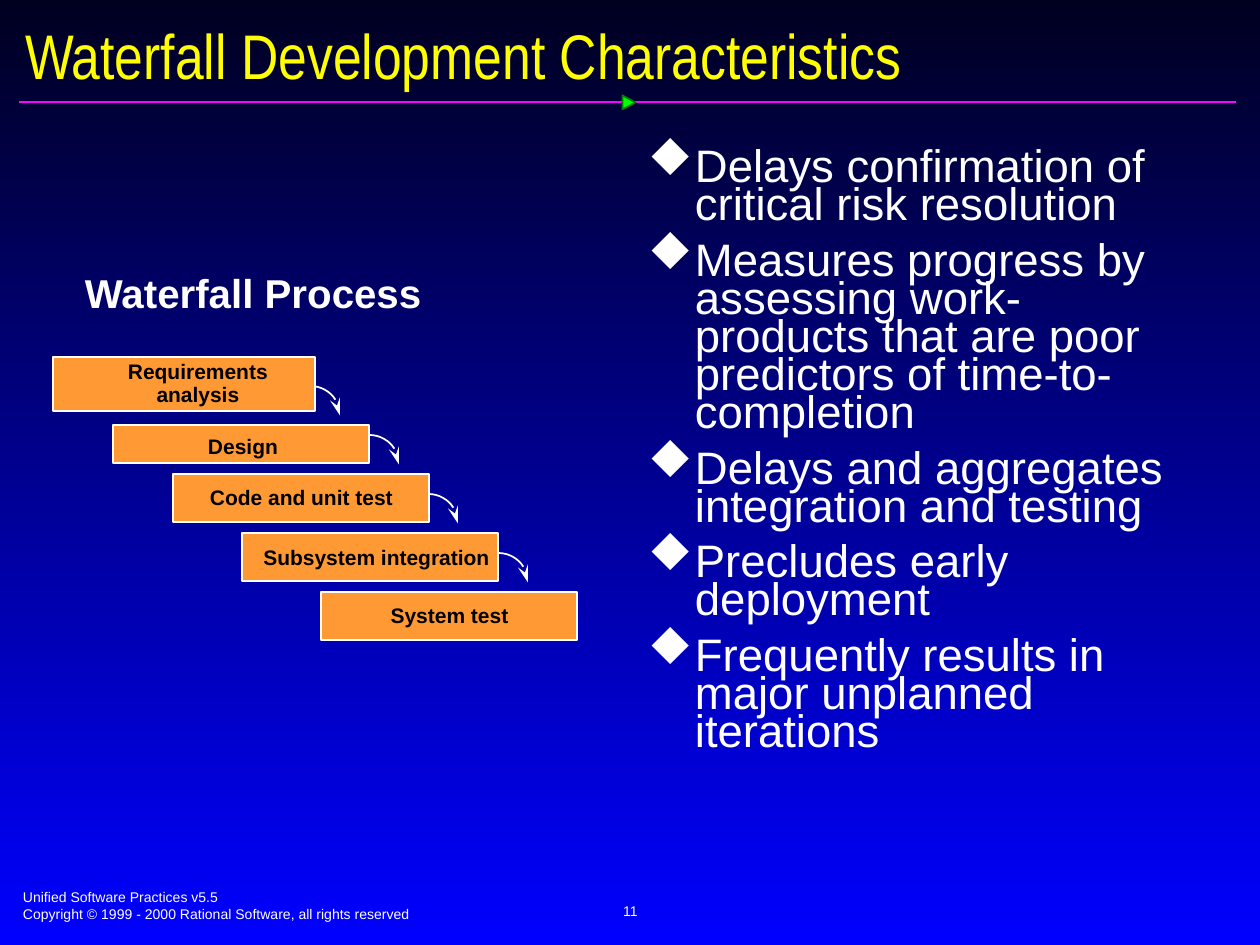
from lxml import etree
from pptx import Presentation
from pptx.dml.color import RGBColor
from pptx.enum.shapes import MSO_CONNECTOR, MSO_SHAPE as Shape
from pptx.enum.text import MSO_ANCHOR as Anchor, MSO_AUTO_SIZE as AutoSize, PP_ALIGN as Align
from pptx.oxml.ns import qn
from pptx.util import Pt

PX = 914400 / 126
WHITE = "FFFFFF"
DIAMOND = "u"  # filled diamond in Wingdings

# Text lines, box (left, top, width, height), left and top inset that shift the label
STEPS = [
    (["Requirements", "analysis"], (53, 357, 262, 54), (32, 4)),
    (["Design"], (113, 425, 256, 38), (8, 11)),
    (["Code and unit test"], (173, 474, 256, 48), (5, 5)),
    (["Subsystem integration"], (242, 533, 256, 48), (17, 7)),
    (["System test"], (321, 592, 256, 48), (5, 5)),
]
ARROWS = [(281, 386), (340, 435), (399, 494), (469, 553)]
ARROW_SIZE = 59

CHARACTERISTICS = [
    "Delays confirmation of critical risk resolution",
    "Measures progress by assessing work-products that are poor predictors of time-to-completion",
    "Delays and aggregates integration and testing",
    "Precludes early deployment",
    "Frequently results in major unplanned iterations",
]
FOOTER = [
    "Unified Software Practices v5.5",
    "Copyright © 1999 - 2000 Rational Software, all rights reserved",
]


def px(*lengths):
    return [round(length * PX) for length in lengths]


def color(hex_value):
    return RGBColor.from_string(hex_value)


def add_bullet(paragraph, char, hex_value, indent):
    properties = paragraph._p.get_or_add_pPr()
    hang = px(indent)[0]
    properties.set("marL", str(hang))
    properties.set("indent", str(-hang))
    bullet_color = etree.SubElement(properties, qn("a:buClr"))
    etree.SubElement(bullet_color, qn("a:srgbClr"), val=hex_value)
    etree.SubElement(properties, qn("a:buFont"), typeface="Wingdings",
                     pitchFamily="2", charset="2")
    etree.SubElement(properties, qn("a:buChar"), char=char)


def write_text(shape, lines, size=12, font="Arial", fill=WHITE, bold=False, align=Align.LEFT,
               anchor=Anchor.TOP, insets=(13, 6, 13, 6), wrap=True, spacing=None,
               before=0, bullet=None):
    frame = shape.text_frame
    frame.auto_size = AutoSize.NONE
    frame.word_wrap = wrap
    frame.vertical_anchor = anchor
    (frame.margin_left, frame.margin_top,
     frame.margin_right, frame.margin_bottom) = px(*insets)
    for index, line in enumerate(lines):
        paragraph = frame.add_paragraph() if index else frame.paragraphs[0]
        paragraph.text = line
        paragraph.alignment = align
        if spacing:
            paragraph.line_spacing = spacing
        paragraph.space_before = Pt(before if index else 0)
        if bullet:
            add_bullet(paragraph, bullet, fill, 47)
        text_font = paragraph.font
        text_font.name, text_font.size, text_font.bold = font, Pt(size), bold
        text_font.color.rgb = color(fill)


def add_text(slide, box, lines, **text_format):
    write_text(slide.shapes.add_textbox(*px(*box)), lines, **text_format)


def add_shape(slide, kind, box, fill=None, line=WHITE):
    shape = slide.shapes.add_shape(kind, *px(*box))
    shape.shadow.inherit = False
    if fill:
        shape.fill.solid()
        shape.fill.fore_color.rgb = color(fill)
    else:
        shape.fill.background()
    shape.line.color.rgb = color(line)
    shape.line.width = Pt(1)
    return shape


def add_curved_arrow(slide, left, top):
    arc = add_shape(slide, Shape.ARC, (left, top, ARROW_SIZE, ARROW_SIZE))
    etree.SubElement(arc.line._get_or_add_ln(), qn("a:tailEnd"), type="stealth", len="lg")


def add_step(slide, lines, box, shift):
    step = add_shape(slide, Shape.RECTANGLE, box, fill="FF9933")
    write_text(step, lines, fill="000000", bold=True, align=Align.CENTER, anchor=Anchor.MIDDLE,
               insets=(*shift, 4, 4), spacing=0.9)


def add_title_rule(slide):
    rule = slide.shapes.add_connector(MSO_CONNECTOR.STRAIGHT, *px(19, 102, 1236, 102))
    rule.line.color.rgb = color("FF01FF")
    rule.line.width = Pt(1)
    etree.SubElement(rule._element.spPr, qn("a:effectLst"))
    marker = add_shape(slide, Shape.ISOSCELES_TRIANGLE, (622, 96, 14, 13), "00FF00", "037C03")
    marker.rotation = 90


def set_background(slide, top, bottom):
    fill = slide.background.fill
    fill.gradient()
    fill.gradient_angle = 270
    for stop, hex_value in zip(fill.gradient_stops, (top, bottom)):
        stop.color.rgb = color(hex_value)


def main():
    deck = Presentation()
    deck.slide_width, deck.slide_height = px(1260, 945)
    slide = deck.slides.add_slide(deck.slide_layouts[5])
    set_background(slide, "000021", "0000FF")

    # Title and rule
    title = slide.shapes.title
    title.left, title.top, title.width, title.height = px(12, 18, 1240, 73)
    write_text(title, ["Waterfall Development Characteristics"], size=36, font="Arial Narrow",
               fill="FFFF00", anchor=Anchor.MIDDLE)
    add_title_rule(slide)

    # Waterfall diagram
    add_text(slide, (74, 268, 363, 55), ["Waterfall Process"], size=23, bold=True,
             insets=(11, 6, 11, 6), wrap=False, spacing=0.9)
    for left, top in ARROWS:
        add_curved_arrow(slide, left, top)
    for lines, box, shift in STEPS:
        add_step(slide, lines, box, shift)

    # Characteristics
    add_text(slide, (633, 144, 575, 696), CHARACTERISTICS, size=26, insets=(15, 8, 15, 8),
             spacing=0.7, before=9.8, bullet=DIAMOND)

    # Footer and page number
    add_text(slide, (10, 883, 643, 47), FOOTER, size=8)
    add_text(slide, (431, 879, 399, 63), ["11"], size=8, align=Align.CENTER,
             anchor=Anchor.MIDDLE)

    deck.save("out.pptx")


if __name__ == "__main__":
    main()
